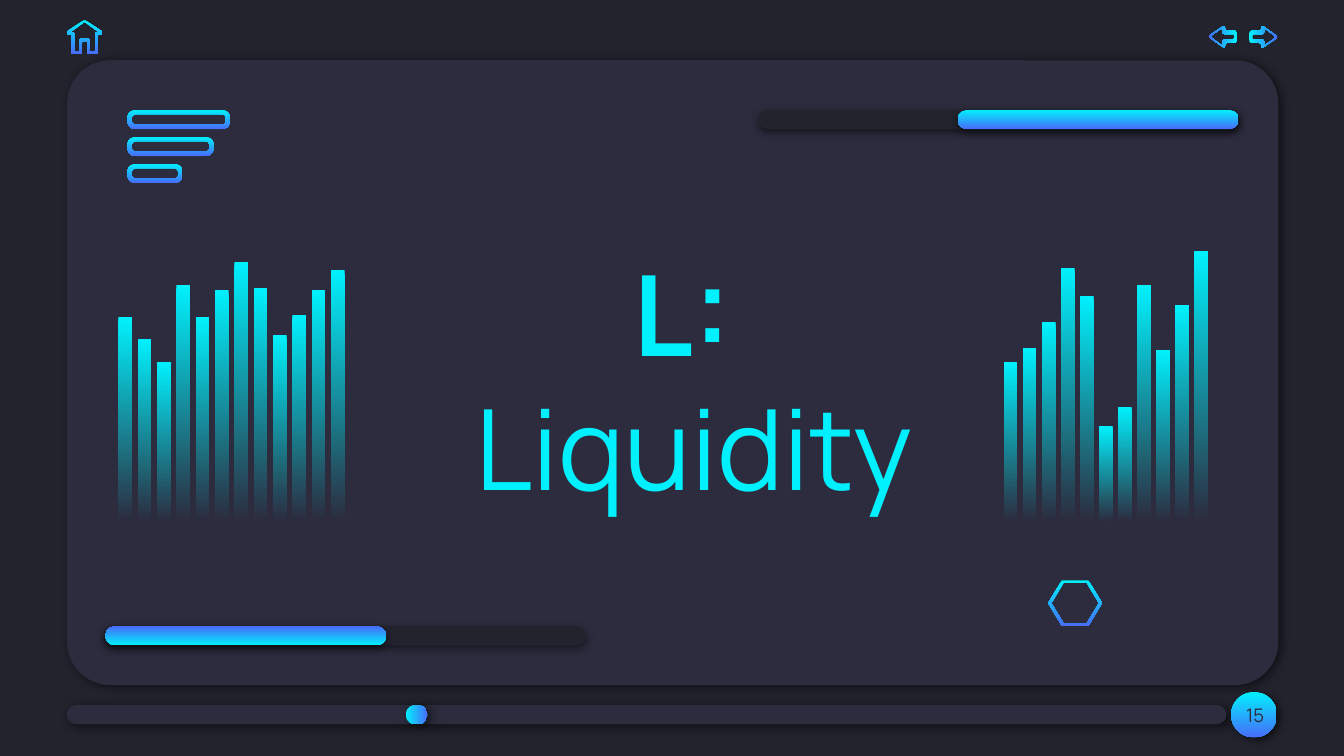
"""Build the Liquidity section slide: a dark card with neon bars, icons and sliders."""
from dataclasses import dataclass
from math import dist

from lxml import etree
from pptx import Presentation
from pptx.dml.color import RGBColor
from pptx.enum.shapes import MSO_SHAPE
from pptx.enum.text import MSO_ANCHOR, MSO_AUTO_SIZE, PP_ALIGN
from pptx.oxml.ns import qn
from pptx.util import Cm, Pt

RECT, ROUND, OVAL = MSO_SHAPE.RECTANGLE, MSO_SHAPE.ROUNDED_RECTANGLE, MSO_SHAPE.OVAL
CENTER, MIDDLE, FIXED = PP_ALIGN.CENTER, MSO_ANCHOR.MIDDLE, MSO_AUTO_SIZE.NONE


@dataclass(frozen=True)
class Theme:
    back: str = "23232E"
    card: str = "2C2C3E"
    cyan: str = "01F0FD"
    blue: str = "476DFA"
    shadow: str = "000000"
    font: str = "Manrope"
    title_size: int = 60
    number_size: int = 10


THEME = Theme()
NEON = (THEME.cyan, THEME.blue)
FADE = (THEME.cyan, THEME.card)
DOWN, UP, RIGHTWARD = 270, 90, 0
CARD_SHADOW = (60, 5.6, 2.2, 33)
NUMBER_SHADOW = (60, 4.5, 2.2, 33)
SLIDER_SHADOW = (50, 4.5, 1.5, 90)

TITLE_LINES = [("L: ", True), ("Liquidity", False)]
TITLE_BOX = (6.22, 5.11, 13.79, 4.09)
PAGE_NUMBER = "15"
NUMBER_BOX = (22.96, 12.98, 1.52, 1.09)

BAR_BASE, BAR_WIDTH = 9.86, 0.26
EQUALIZERS = [
    {"left": 18.97, "pitch": 0.36,
     "heights": [3.02, 3.28, 3.78, 4.8, 4.27, 1.8, 2.16, 4.47, 3.25, 4.09, 5.11]},
    {"left": 2.24, "pitch": 0.365,
     "heights": [3.86, 3.45, 3.02, 4.47, 3.86, 4.37, 4.9, 4.42, 3.53, 3.91, 4.37, 4.75]},
]

SLIDER_HEIGHT = 0.36
SLIDERS = [
    {"top": 2.08, "track": (14.33, 9.09), "filled": (18.1, 5.31), "angle": DOWN},
    {"top": 11.84, "track": (1.98, 9.09), "filled": (1.99, 5.31), "angle": UP},
]

PILL_LEFT, PILL_TOP, PILL_PITCH, PILL_HEIGHT, PILL_EDGE = 2.41, 2.08, 0.51, 0.36, 0.08
PILL_WIDTHS = [1.94, 1.63, 1.04]

ARROW_HALVES = [
    [(0.31, 0), (0.31, 0.22), (0.41, 0.22), (0.2, 0.53)],
    [(0.25, 0.05), (0.25, 0.27), (0.36, 0.27), (0.2, 0.49)],
]
HEXAGON_HALVES = [
    [(0.76, 0), (1.02, 0.43), (0.76, 0.86)],
    [(0.73, 0.05), (0.96, 0.43), (0.73, 0.81)],
]
HOME_HALVES = [
    [(0.33, 0), (0.66, 0.22), (0.66, 0.28), (0.58, 0.28), (0.58, 0.64), (0.38, 0.64), (0.38, 0.41)],
    [(0.33, 0.04), (0.61, 0.24), (0.53, 0.24), (0.53, 0.59), (0.42, 0.59), (0.42, 0.36)],
]
ICONS = [
    {"halves": ARROW_HALVES, "box": (23.67, 0.43, 0.41, 0.53), "radius": 0.05, "turn": 270},
    {"halves": ARROW_HALVES, "box": (22.91, 0.43, 0.41, 0.53), "radius": 0.05, "turn": 90},
    {"halves": HEXAGON_HALVES, "box": (19.81, 10.97, 1.02, 0.86), "radius": 0, "turn": 0},
    {"halves": HOME_HALVES, "box": (1.27, 0.38, 0.66, 0.64), "radius": 0.02, "turn": 0},
]


def rgb(code):
    return RGBColor.from_string(code)


def paint(shape, colors, angle=DOWN, shadow=None):
    if isinstance(colors, str):
        shape.fill.solid()
        shape.fill.fore_color.rgb = rgb(colors)
    else:
        shape.fill.gradient()
        shape.fill.gradient_angle = angle
        for stop, color in zip(shape.fill.gradient_stops, colors):
            stop.color.rgb = rgb(color)
    shape.line.fill.background()
    shape.shadow.inherit = False
    if shadow:
        alpha, blur, distance, direction = shadow
        effects = shape.element.spPr.find(qn("a:effectLst"))
        outer = etree.SubElement(effects, qn("a:outerShdw"), blurRad=str(Pt(blur)),
                                 dist=str(Pt(distance)), dir=str(direction * 60000),
                                 algn="bl", rotWithShape="0")
        color = etree.SubElement(outer, qn("a:srgbClr"), val=THEME.shadow)
        etree.SubElement(color, qn("a:alpha"), val=str(alpha * 1000))


def block(shapes, kind, box, colors, angle=DOWN, shadow=None, corner=0.5):
    shape = shapes.add_shape(kind, *map(Cm, box))
    if kind == ROUND:
        shape.adjustments[0] = corner
    paint(shape, colors, angle, shadow)


def toward(start, end, length):
    share = min(0.5, length / dist(start, end))
    return tuple(a + (b - a) * share for a, b in zip(start, end))


def rounded(corners, radius, steps=5):
    if not radius:
        return corners
    points = []
    for i, corner in enumerate(corners):
        enter = toward(corner, corners[i - 1], radius)
        leave = toward(corner, corners[(i + 1) % len(corners)], radius)
        for t in (step / steps for step in range(steps + 1)):
            points.append(tuple((1 - t) ** 2 * a + 2 * t * (1 - t) * c + t * t * b
                                for a, c, b in zip(enter, corner, leave)))
    return points


def mirrored(half, width):
    flipped = [(width - x, y) for x, y in reversed(half) if abs(2 * x - width) > 0.02]
    return half + flipped


def outline(shapes, contours, box, turn=0):
    left, top, width, height = map(Cm, box)
    rings = [[(Cm(x), Cm(y)) for x, y in ring] for ring in contours]
    builder = shapes.build_freeform(*rings[0][0])
    builder.add_line_segments(rings[0][1:], close=True)
    for ring in rings[1:]:
        builder.move_to(*ring[0])
        builder.add_line_segments(ring[1:], close=True)
    shape = builder.convert_to_shape(left, top)
    shape.left, shape.top, shape.width, shape.height = left, top, width, height
    shape.rotation = turn
    paint(shape, NEON)


def frame_corners(width, height, inset):
    right, bottom = width - inset, height - inset
    return [(inset, inset), (right, inset), (right, bottom), (inset, bottom)]


def write(frame, lines, size, color):
    frame.word_wrap = True
    frame.auto_size = FIXED
    frame.vertical_anchor = MIDDLE
    frame.margin_left = frame.margin_right = frame.margin_top = frame.margin_bottom = Cm(0.25)
    for i, (words, bold) in enumerate(lines):
        paragraph = frame.add_paragraph() if i else frame.paragraphs[0]
        paragraph.alignment = CENTER
        paragraph.line_spacing = 1.0
        run = paragraph.add_run()
        run.text = words
        run.font.name, run.font.size, run.font.bold = THEME.font, Pt(size), bold
        run.font.color.rgb = rgb(color)


def main():
    deck = Presentation()
    deck.slide_width, deck.slide_height = Cm(25.4), Cm(14.29)
    slide = deck.slides.add_slide(deck.slide_layouts[5])
    slide.background.fill.solid()
    slide.background.fill.fore_color.rgb = rgb(THEME.back)
    shapes = slide.shapes

    block(shapes, ROUND, (1.27, 1.14, 22.89, 12.95 - 1.14), THEME.card, shadow=CARD_SHADOW, corner=0.069)
    block(shapes, ROUND, (1.26, 13.33, 21.92, 0.36), THEME.card, shadow=CARD_SHADOW)
    block(shapes, OVAL, (23.27, 13.08, 0.86, 0.86), NEON, shadow=NUMBER_SHADOW)
    number = shapes.add_textbox(*map(Cm, NUMBER_BOX))
    write(number.text_frame, [(PAGE_NUMBER, False)], THEME.number_size, THEME.card)

    title = shapes.title
    title.left, title.top, title.width, title.height = map(Cm, TITLE_BOX)
    write(title.text_frame, TITLE_LINES, THEME.title_size, THEME.cyan)
    title.element.getparent().append(title.element)

    for equalizer in EQUALIZERS:
        bars = shapes.add_group_shape().shapes
        for i, height in enumerate(equalizer["heights"]):
            left = equalizer["left"] + i * equalizer["pitch"]
            block(bars, RECT, (left, BAR_BASE - height, BAR_WIDTH, height), FADE)

    pills = shapes.add_group_shape().shapes
    for i, width in enumerate(PILL_WIDTHS):
        rings = [rounded(frame_corners(width, PILL_HEIGHT, 0), 0.17),
                 rounded(frame_corners(width, PILL_HEIGHT, PILL_EDGE), 0.09)]
        outline(pills, rings, (PILL_LEFT, PILL_TOP + i * PILL_PITCH, width, PILL_HEIGHT))

    for icon in ICONS:
        rings = [rounded(mirrored(half, icon["box"][2]), icon["radius"]) for half in icon["halves"]]
        outline(shapes, rings, icon["box"], icon["turn"])

    block(shapes, ROUND, (7.67, 13.33, 0.41, 0.36), NEON, RIGHTWARD, CARD_SHADOW)

    for slider in SLIDERS:
        parts = shapes.add_group_shape().shapes
        for part, colors in (("track", THEME.back), ("filled", NEON)):
            left, width = slider[part]
            block(parts, ROUND, (left, slider["top"], width, SLIDER_HEIGHT), colors,
                  slider["angle"], SLIDER_SHADOW)

    deck.save("out.pptx")


if __name__ == "__main__":
    main()
